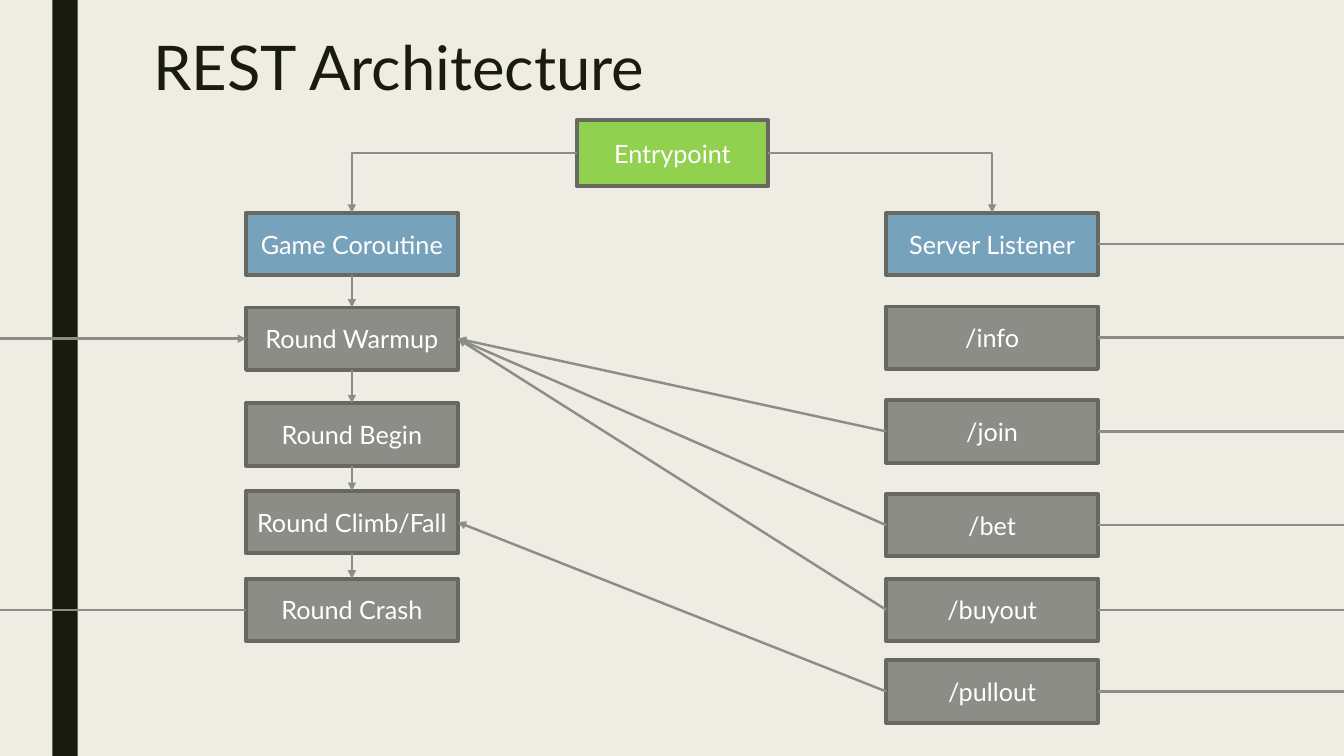
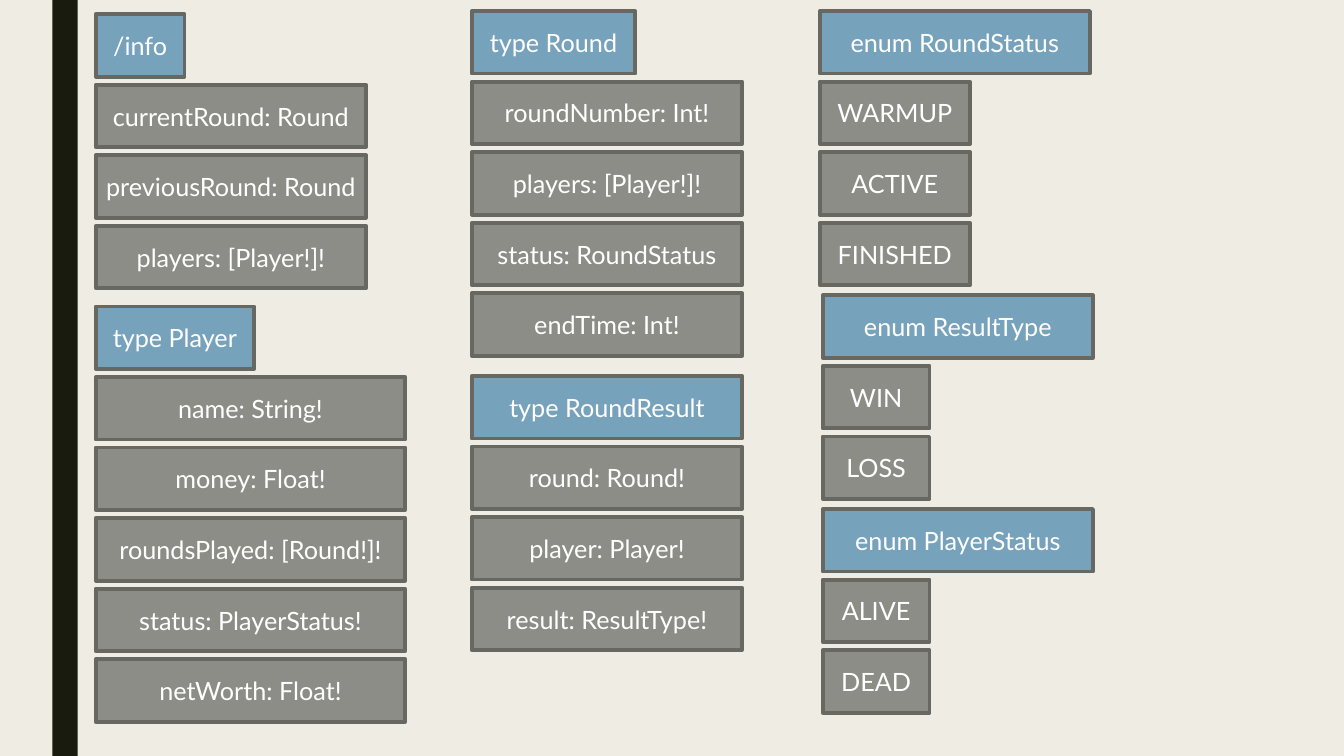
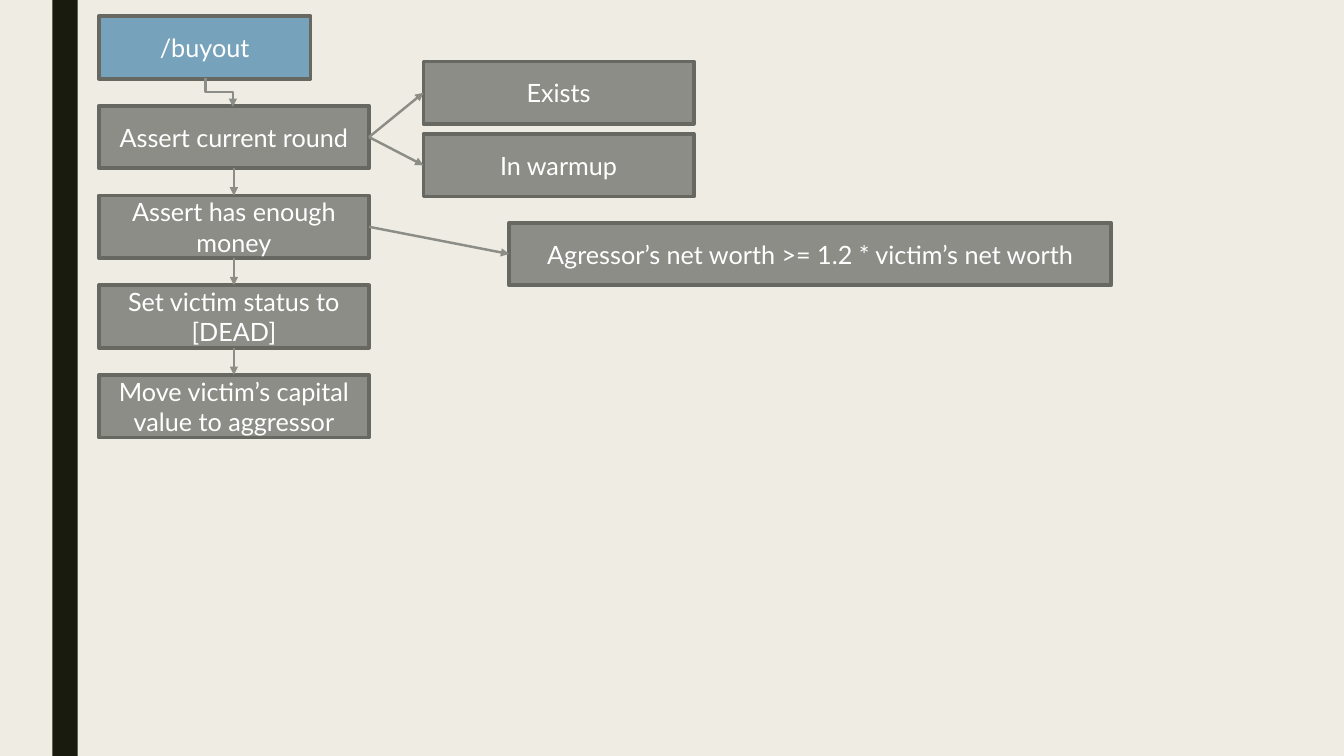
"""Build three slides of flow and schema diagrams for a game server."""
from itertools import pairwise

from lxml import etree
from pptx import Presentation, util as u
from pptx.dml.color import RGBColor
from pptx.enum import shapes, text
from pptx.oxml.ns import qn

PAPER = RGBColor(0xEF, 0xED, 0xE3)
INK = RGBColor(0x19, 0x1B, 0x0E)
GRAY = RGBColor(0x8C, 0x8D, 0x86)
EDGE = RGBColor(0x68, 0x68, 0x63)
BLUE = RGBColor(0x77, 0xA2, 0xBB)
GREEN = RGBColor(0x92, 0xD0, 0x50)
WHITE = RGBColor(0xFF, 0xFF, 0xFF)
FONT = "Lato"
WIDTH, HEIGHT = 13.33, 7.5
ROW_H, NARROW, WIDE = 0.62, 2.1, 2.68
TOP, LEFT, BOTTOM, RIGHT = range(4)
STRAIGHT, ELBOW = shapes.MSO_CONNECTOR.STRAIGHT, shapes.MSO_CONNECTOR.ELBOW


def box(s, label, x, y, w, fill=GRAY, h=ROW_H):
    sp = s.shapes.add_shape(shapes.MSO_SHAPE.RECTANGLE, *map(u.Inches, (x, y, w, h)))
    sp.shadow.inherit = False
    sp.fill.solid()
    sp.fill.fore_color.rgb = fill
    sp.line.color.rgb = EDGE
    sp.line.width = u.Pt(2.75)
    tf = sp.text_frame
    for name, value in {"word_wrap": True, "margin_left": u.Inches(0.08),
                        "margin_right": u.Inches(0.08),
                        "vertical_anchor": text.MSO_ANCHOR.MIDDLE}.items():
        setattr(tf, name, value)
    p = tf.paragraphs[0]
    p.alignment = text.PP_ALIGN.CENTER
    r = p.add_run()
    r.text = label
    for name, value in {"name": FONT, "size": u.Pt(18)}.items():
        setattr(r.font, name, value)
    r.font.color.rgb = WHITE
    return sp


def link(s, start, end, kind=STRAIGHT, arrow=True, preset=None, turn=None):
    spots = []
    for sp, side in (start, end):
        if isinstance(side, int):
            spots += [0, 0]
        else:
            spots += [u.Inches(side), sp.top + sp.height // 2]
    cxn = s.shapes.add_connector(kind, *spots)
    for (sp, side), connect in ((start, cxn.begin_connect), (end, cxn.end_connect)):
        if isinstance(side, int):
            connect(sp, side)
    cxn.line.color.rgb = GRAY
    cxn.line.width = u.Pt(1.75)
    sppr = cxn._element.spPr
    if arrow:
        etree.SubElement(sppr.find(qn("a:ln")), qn("a:tailEnd"), type="triangle")
    etree.SubElement(sppr, qn("a:effectLst"))
    if preset:
        sppr.find(qn("a:prstGeom")).set("prst", preset)
    for name, value in (turn or {}).items():
        sppr.find(qn("a:xfrm")).set(name, value)


prs = Presentation()
prs.slide_width, prs.slide_height = u.Inches(WIDTH), u.Inches(HEIGHT)
master = prs.slide_master
master.background.fill.solid()
master.background.fill.fore_color.rgb = PAPER
rest, schema, buyout = [prs.slides.add_slide(prs.slide_layouts[i]) for i in (5, 6, 6)]

band = rest.shapes.add_shape(shapes.MSO_SHAPE.RECTANGLE,
                             *map(u.Inches, (0.52, 0, 0.25, HEIGHT)))
band.shadow.inherit = False
band.fill.solid()
band.fill.fore_color.rgb = INK
band.line.fill.background()
master.shapes._spTree.insert(2, band._element)

title = rest.shapes.title
for name, value in {"left": 1.42, "top": 0.33, "width": 10.5, "height": 1.62}.items():
    setattr(title, name, u.Inches(value))
tf = title.text_frame
tf.vertical_anchor = text.MSO_ANCHOR.TOP
p = tf.paragraphs[0]
p.alignment = text.PP_ALIGN.LEFT
p.line_spacing = 0.89
r = p.add_run()
r.text = "REST Architecture"
for name, value in {"name": FONT, "size": u.Pt(44)}.items():
    setattr(r.font, name, value)
r.font.color.rgb = INK

entry = box(rest, "Entrypoint", 5.72, 1.19, 1.9, GREEN, 0.66)
columns = [
    (2.44, {"Game Coroutine": 2.11, "Round Warmup": 3.05, "Round Begin": 4,
            "Round Climb/Fall": 4.87, "Round Crash": 5.74}),
    (8.79, {"Server Listener": 2.11, "/info": 3.04, "/join": 3.97,
            "/bet": 4.9, "/buyout": 5.74, "/pullout": 6.55}),
]
game, server = [[box(rest, label, x, y, NARROW, GRAY if i else BLUE)
                 for i, (label, y) in enumerate(rows.items())] for x, rows in columns]
for side, head in ((LEFT, game[0]), (RIGHT, server[0])):
    link(rest, (entry, side), (head, TOP), ELBOW, preset="bentConnector2")
for upper, lower in pairwise(game):
    link(rest, (upper, BOTTOM), (lower, TOP))
warmup, climb, crash = game[1], game[3], game[4]
for route, stage in zip(server[2:], (warmup, warmup, warmup, climb)):
    link(rest, (route, LEFT), (stage, RIGHT))
for sp in server:
    link(rest, (sp, RIGHT), (sp, WIDTH), arrow=False)
link(rest, (warmup, 0.0), (warmup, LEFT))
link(rest, (crash, LEFT), (crash, 0.0), arrow=False)

groups = [
    (0.95, 0.14, 0.88, WIDE, "/info",
     ["currentRound: Round", "previousRound: Round", "players: [Player!]!"]),
    (0.95, 3.04, 1.57, 3.07, "type Player",
     ["name: String!", "money: Float!", "roundsPlayed: [Round!]!",
      "status: PlayerStatus!", "netWorth: Float!"]),
    (4.68, 0.11, 1.62, WIDE, "type Round",
     ["roundNumber: Int!", "players: [Player!]!", "status: RoundStatus", "endTime: Int!"]),
    (4.68, 3.73, WIDE, WIDE, "type RoundResult",
     ["round: Round!", "player: Player!", "result: ResultType!"]),
    (8.13, 0.11, WIDE, 1.49, "enum RoundStatus", ["WARMUP", "ACTIVE", "FINISHED"]),
    (8.16, 2.93, WIDE, 1.06, "enum ResultType", ["WIN", "LOSS"]),
    (8.16, 5.05, WIDE, 1.06, "enum PlayerStatus", ["ALIVE", "DEAD"]),
]
for x, y, head_w, field_w, head, fields in groups:
    box(schema, head, x, y, head_w, BLUE)
    for i, field in enumerate(fields, 1):
        box(schema, field, x, y + 0.7 * i, field_w)

request = box(buyout, "/buyout", 0.98, 0.16, NARROW, BLUE)
steps = [box(buyout, label, 0.98, 0.16 + 0.89 * i, WIDE) for i, label in enumerate(
    ["Assert current round", "Assert has enough money", "Set victim status to [DEAD]",
     "Move victim’s capital value to aggressor"], 1)]
link(buyout, (request, BOTTOM), (steps[0], TOP), ELBOW,
     turn={"rot": "16200000", "flipH": "1"})
for upper, lower in pairwise(steps):
    link(buyout, (upper, BOTTOM), (lower, TOP))
checks = [
    (steps[0], "Exists", 4.2, 0.61, WIDE),
    (steps[0], "In warmup", 4.2, 1.33, WIDE),
    (steps[1], "Agressor’s net worth >= 1.2 * victim’s net worth", 5.05, 2.21, 5.97),
]
for step, label, x, y, w in checks:
    link(buyout, (step, RIGHT), (box(buyout, label, x, y, w), LEFT))

prs.save("out.pptx")
